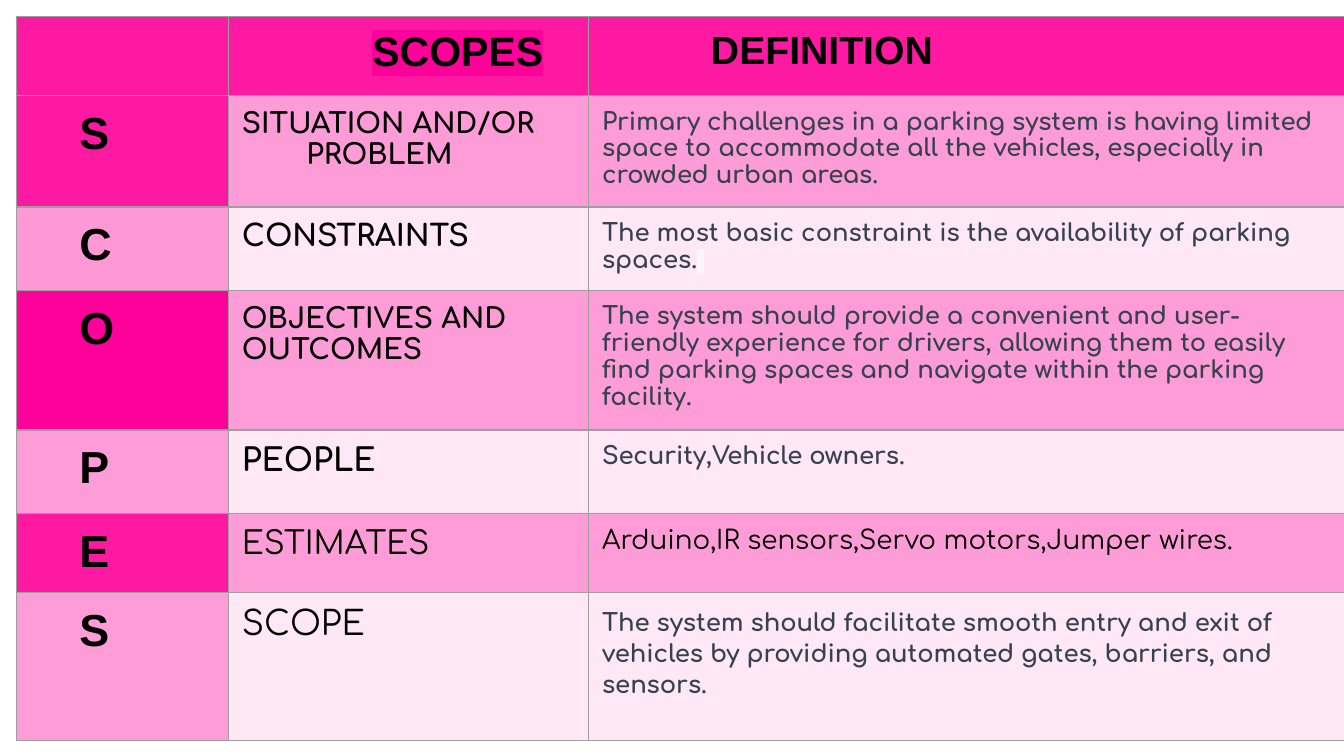
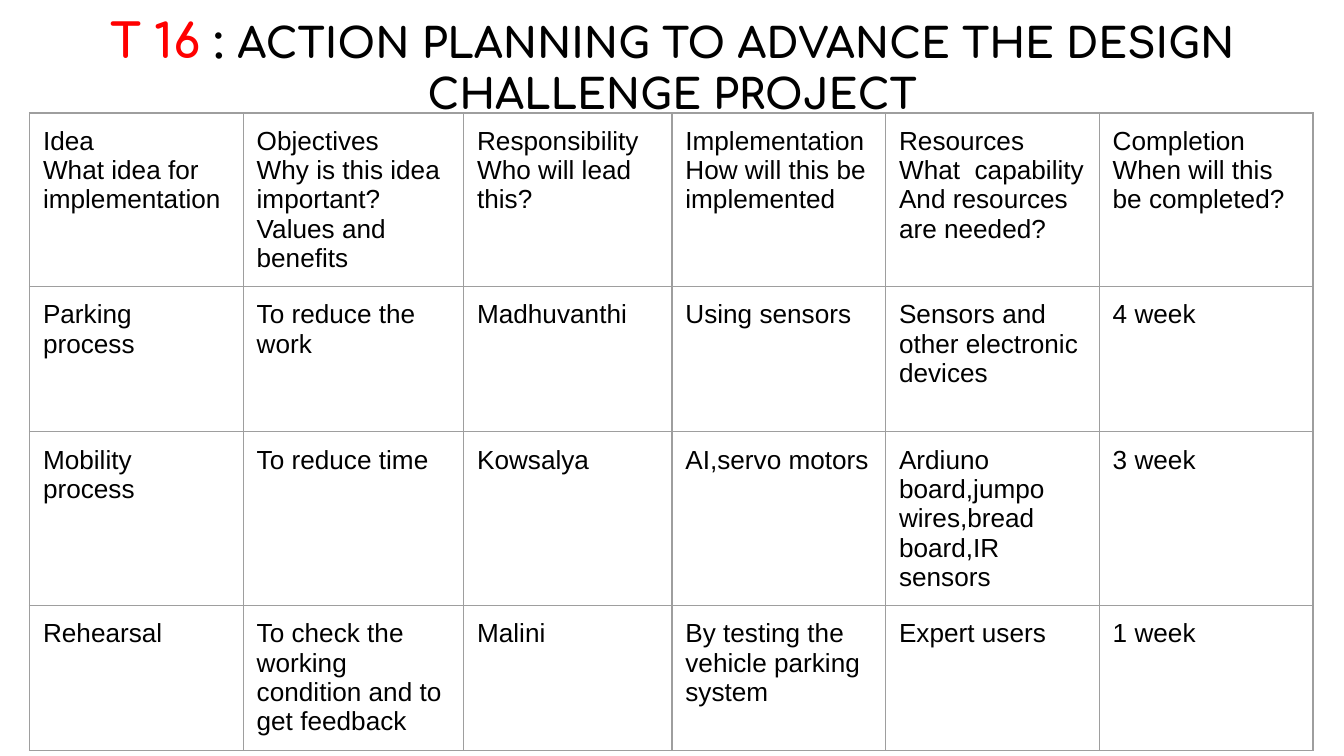
import pptx
import pptx.dml.color
import pptx.enum.text
import pptx.util
import pptx.oxml
import pptx.oxml.ns
from lxml import etree

Inches, Pt = pptx.util.Inches, pptx.util.Pt
PINK, BLACK, SLATE, GREY, RED = "FE019A", "000000", "374151", "9E9E9E", "FF0000"

HEADS = [("SCOPES", 22, 0.97, PINK), ("DEFINITION", 21, 0.81, None)]
SCOPES = [
    ("S", ["SITUATION AND/OR", "PROBLEM"], 15,
     "Primary challenges in a parking system is having limited space to "
     "accommodate all the vehicles, especially in crowded urban areas."),
    ("C", ["CONSTRAINTS"], 16,
     "The most basic constraint is the availability of parking spaces."),
    ("O", ["OBJECTIVES AND OUTCOMES"], 15,
     "The system should provide a convenient and user-friendly experience for "
     "drivers, allowing them to easily find parking spaces and navigate within "
     "the parking facility."),
    ("P", ["PEOPLE"], 17, "Security,Vehicle owners."),
    ("E", ["ESTIMATES"], 17, "Arduino,IR sensors,Servo motors,Jumper wires."),
    ("S", ["SCOPE"], 18,
     "The system should facilitate smooth entry and exit of vehicles by "
     "providing automated gates, barriers, and sensors."),
]
TITLE = [("T 16", 25.2, RED), (" : ", 25.2, BLACK),
         ("ACTION PLANNING TO ADVANCE THE DESIGN CHALLENGE PROJECT", 22.1, BLACK)]
PLAN = [
    [["Idea", "What idea for implementation"],
     ["Objectives", "Why is this idea important?Values and benefits"],
     ["Responsibility", "Who will lead this?"],
     ["Implementation", "How will this be implemented"],
     ["Resources", "What  capability", "And resources are needed?"],
     ["Completion", "When will this be completed?"]],
    [["Parking process"], ["To reduce the work"], ["Madhuvanthi"],
     ["Using sensors"], ["Sensors and other electronic devices"], ["4 week"]],
    [["Mobility process"], ["To reduce time"], ["Kowsalya"], ["AI,servo motors"],
     ["Ardiuno board,jumpo wires,bread board,IR sensors"], ["3 week"]],
    [["Rehearsal"], ["To check the working condition and to get feedback"],
     ["Malini"], ["By testing the vehicle parking system"], ["Expert users"],
     ["1 week"]],
]


def rgb(code):
    """Turn a hex string into a colour."""
    return pptx.dml.color.RGBColor.from_string(code)


def node(xml):
    """Parse a fragment in the drawing namespace."""
    space = pptx.oxml.ns.nsdecls("a")
    return pptx.oxml.parse_xml(xml.replace(">", f" {space}>", 1))


def write(para, text, size, font="Arial", bold=False, ink=BLACK, mark=None):
    """Add a formatted run to a paragraph."""
    run = para.add_run()
    run.text = text
    look = {"name": font, "size": Pt(size), "bold": bold}
    for key, value in look.items():
        setattr(run.font, key, value)
    run.font.color.rgb = rgb(ink)
    if mark:
        fill = run.font._element.find(pptx.oxml.ns.qn("a:solidFill"))
        fill.addnext(node(f'<a:highlight><a:srgbClr val="{mark}"/></a:highlight>'))


def indent(para, width):
    """Set the left margin of a paragraph."""
    para._p.get_or_add_pPr().set("marL", str(Inches(width)))


def paint(cell, alpha):
    """Fill a cell with see-through pink, or with nothing."""
    if not alpha:
        cell.fill.background()
        return
    cell.fill.solid()
    cell.fill.fore_color.rgb = rgb(PINK)
    tone = cell._tc.tcPr.find(".//" + pptx.oxml.ns.qn("a:srgbClr"))
    etree.SubElement(tone, pptx.oxml.ns.qn("a:alpha"), val=str(alpha * 1000))


def grid(slide, left, top, cols, rows, shade):
    """Add a bordered table whose fill is given by shade(row, col)."""
    table = slide.shapes.add_table(
        len(rows), len(cols), Inches(left), Inches(top),
        Inches(sum(cols)), Inches(sum(rows))).table
    table.first_row = table.horz_banding = False
    for col, width in zip(table.columns, cols):
        col.width = Inches(width)
    for row, height in zip(table.rows, rows):
        row.height = Inches(height)
    for r in range(len(rows)):
        for c in range(len(cols)):
            cell = table.cell(r, c)
            for side in ("left", "right", "top", "bottom"):
                setattr(cell, "margin_" + side, Inches(0.1))
            paint(cell, shade(r, c))
            for at, side in enumerate("LRTB"):
                cell._tc.tcPr.insert(at, node(
                    f'<a:ln{side} w="{Pt(0.75)}"><a:solidFill><a:srgbClr '
                    f'val="{GREY}"/></a:solidFill></a:ln{side}>'))
    return table


def fill(cell, lines, size, **look):
    """Write one paragraph per line and return the last."""
    frame = cell.text_frame
    for i, line in enumerate(lines):
        para = frame.add_paragraph() if i else frame.paragraphs[0]
        write(para, line, size, **look)
    return para


def tint(row, col):
    """Give the opacity of a cell in the scopes table."""
    if row == 0:
        return 90
    if col == 0:
        return {2: 40, 3: 100}.get(row, 90 if row % 2 else 39)
    return 39 if row % 2 else 9


def scope(deck):
    """Build the scopes slide."""
    slide = deck.slides.add_slide(deck.slide_layouts[6])
    table = grid(slide, 0.12, 0.12, [1.58, 2.68, 5.63],
                 [0.59, 0.83, 0.62, 1.04, 0.62, 0.59, 1.1], tint)
    for c, (text, size, left, mark) in enumerate(HEADS, 1):
        indent(fill(table.cell(0, c), [text], size, bold=True, mark=mark), left)
    for r, (letter, name, size, text) in enumerate(SCOPES, 1):
        indent(fill(table.cell(r, 0), [letter], 24, bold=True), 0.37)
        last = fill(table.cell(r, 1), name, size, font="Comfortaa", bold=r < 5)
        if len(name) > 1:
            indent(last, 0.48)
        plain = letter == "E"
        para = fill(table.cell(r, 2), [text], 14 if plain else 13,
                    font="Comfortaa", bold=not plain,
                    ink=BLACK if plain else SLATE)
        if letter == "C":
            write(para, " ", 12, "Comfortaa", ink=SLATE, mark="F7F7F8")
    gaps = {"line_spacing": 1.15, "space_before": Pt(15), "space_after": Pt(15)}
    for key, value in gaps.items():
        setattr(para, key, value)


def plan(deck):
    """Build the action plan slide."""
    slide = deck.slides.add_slide(deck.slide_layouts[5])
    title = slide.shapes.title
    box = {"left": 0.34, "top": 0, "width": 9.32, "height": 0.96}
    for key, value in box.items():
        setattr(title, key, Inches(value))
    frame = title.text_frame
    form = {"word_wrap": True, "auto_size": pptx.enum.text.MSO_AUTO_SIZE.NONE,
            "vertical_anchor": pptx.enum.text.MSO_ANCHOR.MIDDLE}
    form.update({"margin_" + side: Inches(0.1)
                 for side in ("left", "right", "top", "bottom")})
    for key, value in form.items():
        setattr(frame, key, value)
    para = frame.paragraphs[0]
    para.alignment = pptx.enum.text.PP_ALIGN.CENTER
    para.line_spacing = 1.0
    for text, size, ink in TITLE:
        write(para, text, size, "Comfortaa", True, ink)
    table = grid(slide, 0.22, 0.84, [1.59, 1.64, 1.55] + [1.59] * 3,
                 [1.08] * len(PLAN), lambda row, col: 0)
    for r, row in enumerate(PLAN):
        for c, lines in enumerate(row):
            fill(table.cell(r, c), lines, 14)


def main():
    """Build and save the deck."""
    deck = pptx.Presentation()
    deck.slide_width = Inches(10)
    deck.slide_height = deck.slide_width * 9 // 16
    scope(deck)
    plan(deck)
    deck.save("out.pptx")


if __name__ == "__main__":
    main()
